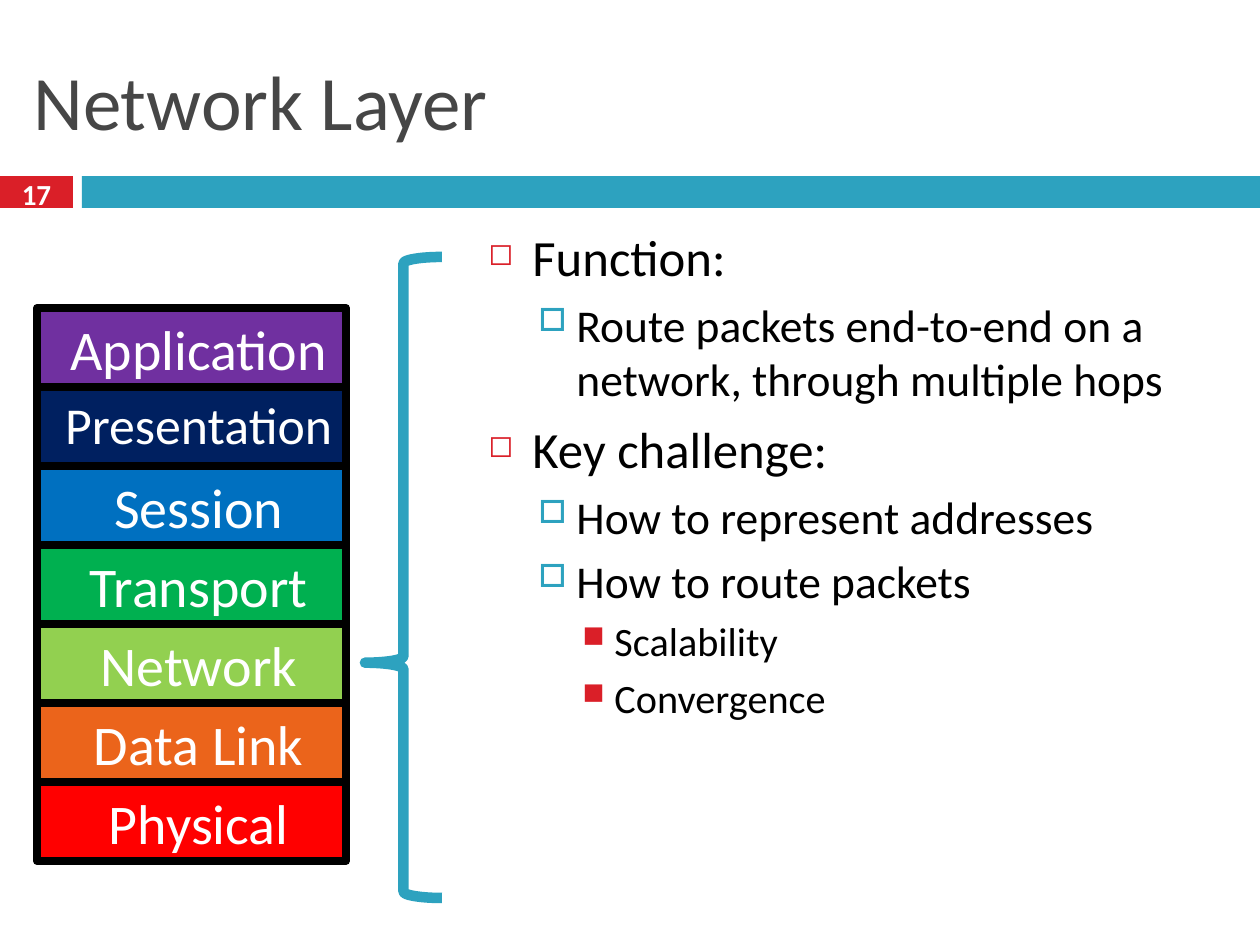
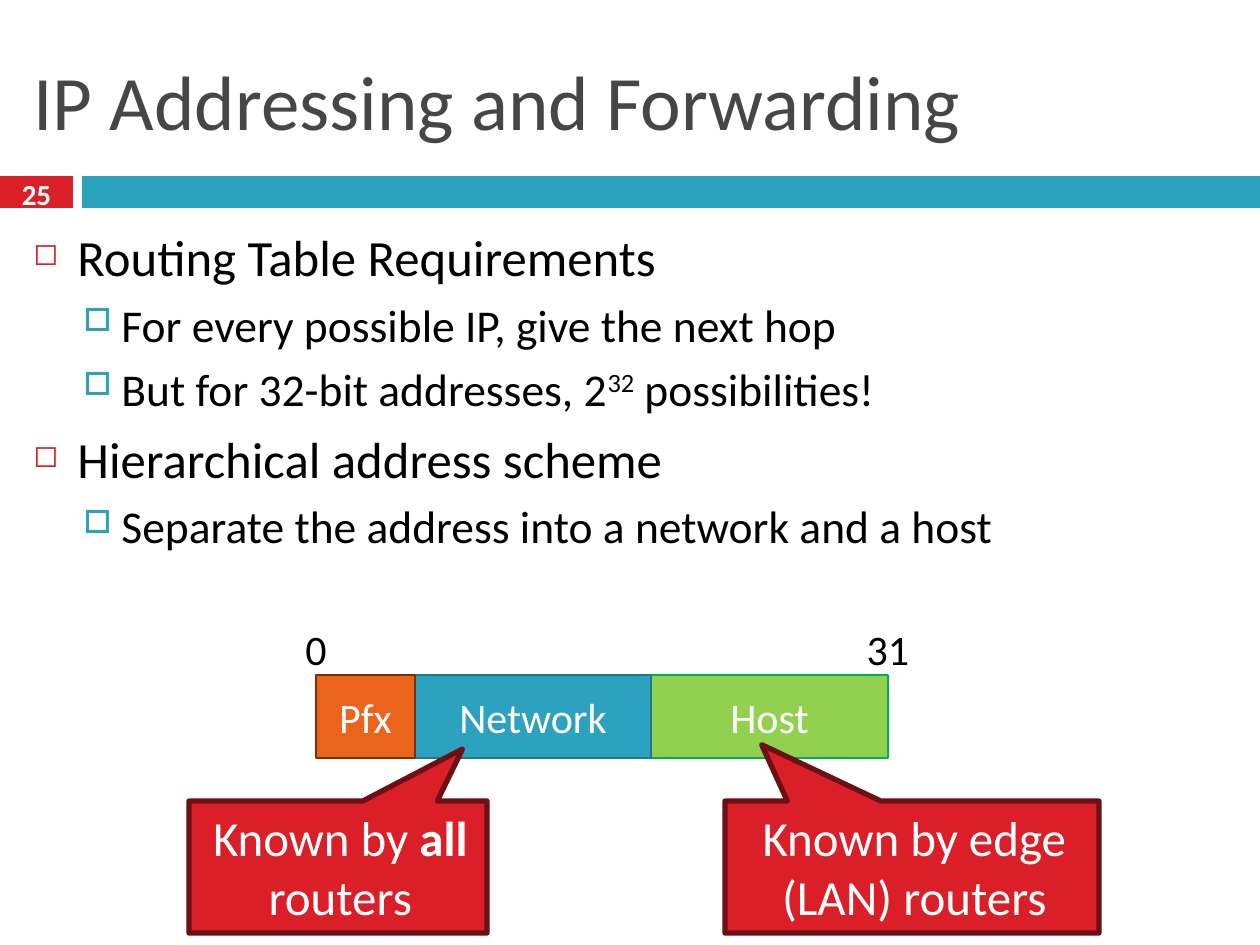
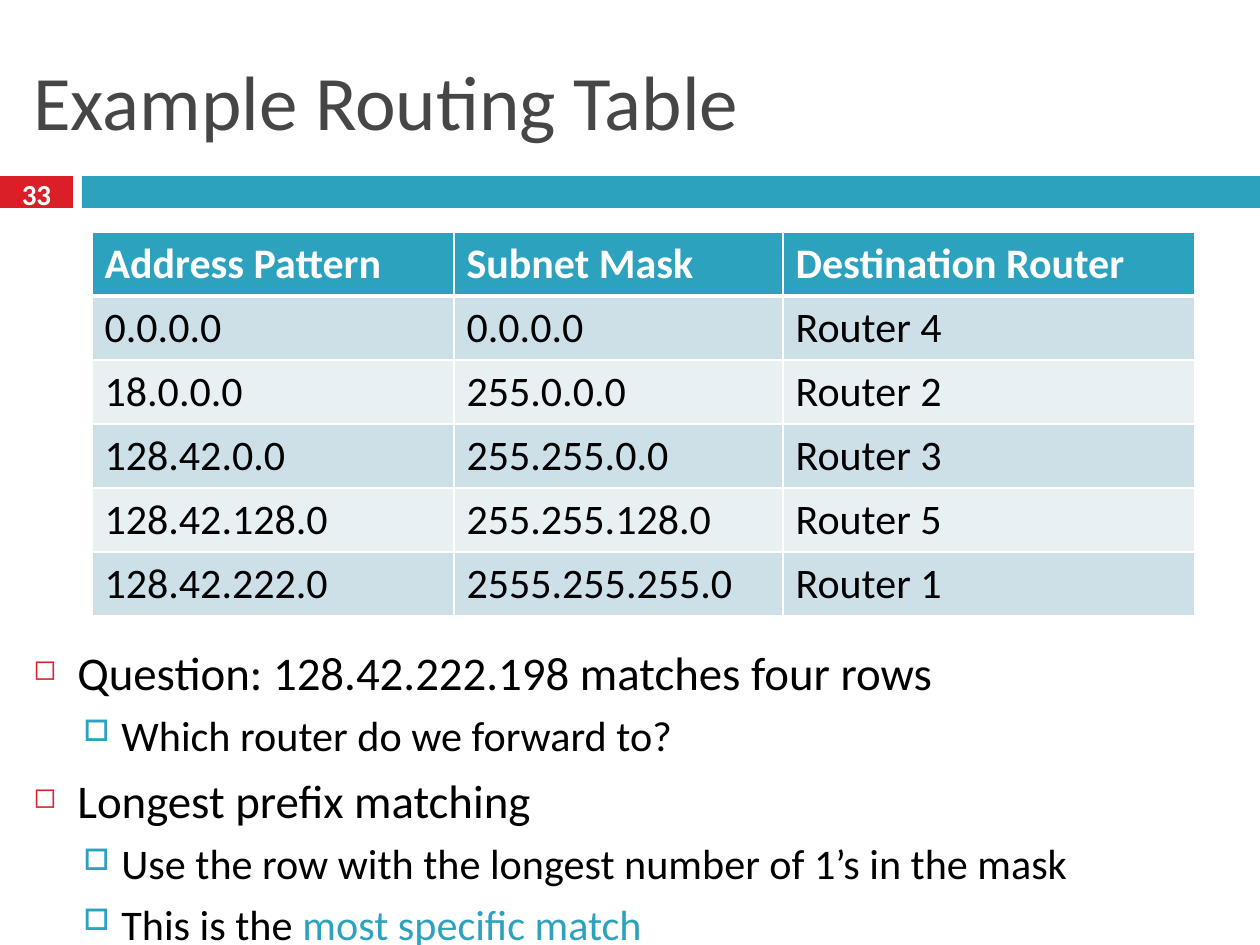
"""Build three slides on the network layer, IP addressing and routing tables."""
import pptx
import pptx.dml.color
import pptx.enum.shapes
import pptx.enum.text
import pptx.oxml.ns
import pptx.util
from lxml import etree

RGB = pptx.dml.color.RGBColor
SHAPE = pptx.enum.shapes.MSO_SHAPE
ALIGN = pptx.enum.text.PP_ALIGN
ANCHOR = pptx.enum.text.MSO_ANCHOR
Pt = pptx.util.Pt
qn = pptx.oxml.ns.qn

FONT = "Calibri"
WHITE = RGB(0xFF, 0xFF, 0xFF)
BLACK = RGB(0x00, 0x00, 0x00)
GRAY = RGB(0x46, 0x46, 0x46)
RED = RGB(0xDA, 0x1F, 0x28)
DARK_RED = RGB(0x6D, 0x10, 0x14)
TEAL = RGB(0x2D, 0xA2, 0xBF)
DARK_TEAL = RGB(0x21, 0x78, 0x8D)
ORANGE = RGB(0xEB, 0x64, 0x1B)
BROWN = RGB(0x78, 0x31, 0x0B)
LIME = RGB(0x92, 0xD0, 0x50)
GREEN = RGB(0x00, 0xB0, 0x50)
PURPLE = RGB(0x70, 0x30, 0xA0)
NAVY = RGB(0x00, 0x20, 0x60)
BLUE = RGB(0x00, 0x70, 0xC0)
BRIGHT_RED = RGB(0xFF, 0x00, 0x00)
ROW_DARK = RGB(0xCD, 0xE0, 0xE8)
ROW_LIGHT = RGB(0xE8, 0xF0, 0xF4)

# Per outline level: left margin and hanging indent (px), space before (pt),
# bullet character, colour and size (percent).
LEVELS = [
    (44, 44, 7, "\u25fb", RED, 60),
    (88, 38, 5.5, "\u25a1", TEAL, 70),
    (126, 32, 5, "\u25a0", RED, 75),
]


def px(n):
    """Turn pixels (126 to the inch) into EMU."""
    return pptx.util.Emu(round(n * 914400 / 126))


def sub(parent, tag, **attrs):
    """Append a DrawingML child element and return it."""
    return etree.SubElement(parent, qn("a:" + tag), attrs)


class Deck:
    """The shared style and the slide being filled."""

    def __init__(self):
        """Start an empty 10 by 7.5 inch presentation."""
        self.prs = pptx.Presentation()
        self.prs.slide_width, self.prs.slide_height = px(1260), px(945)
        self.s = None

    def slide(self, title, number):
        """Add a slide with its bands, title and page number."""
        self.s = self.prs.slides.add_slide(self.prs.slide_layouts[6])
        self.shape(SHAPE.RECTANGLE, (0, 176, 73, 32), RED)
        self.shape(SHAPE.RECTANGLE, (82, 176, 1178, 32), TEAL)
        self.text((21, 32, 1218, 136), title, 44, GRAY, align=ALIGN.LEFT)
        self.text((0, 173, 73, 42), str(number), 16.6, WHITE, bold=True)

    def paragraph(self, p, content, size, color, bold=None, align=None):
        """Fill a paragraph from a string or a list of (text, look) runs."""
        p.alignment = align
        p.font.name, p.font.size, p.font.bold = FONT, Pt(size), bold
        p.font.color.rgb = color
        runs = [(content, {})] if isinstance(content, str) else content
        for words, look in runs:
            r = p.add_run()
            r.text = words
            if "bold" in look:
                r.font.bold = look["bold"]
            if "color" in look:
                r.font.color.rgb = look["color"]
            if "raised" in look:
                r.font._element.set("baseline", str(look["raised"] * 1000))

    def frame(self, sp, anchor, left=None):
        """Prepare a shape's text frame and return it."""
        tf = sp.text_frame
        tf.word_wrap = True
        tf.vertical_anchor = anchor
        if left is not None:
            tf.margin_left = px(left)
        return tf

    def text(self, box, content, size, color, bold=None, align=ALIGN.CENTER):
        """Add a vertically centred text box."""
        sp = self.s.shapes.add_textbox(*map(px, box))
        tf = self.frame(sp, ANCHOR.MIDDLE)
        self.paragraph(tf.paragraphs[0], content, size, color, bold, align)

    def shape(self, kind, box, fill=None, line=None, weight=1, adjust=()):
        """Add a preset shape without shadow and return it."""
        sp = self.s.shapes.add_shape(kind, *map(px, box))
        sp.shadow.inherit = False
        for i, value in enumerate(adjust):
            sp.adjustments[i] = value
        if fill is None:
            sp.fill.background()
        else:
            sp.fill.solid()
            sp.fill.fore_color.rgb = fill
        if line is None:
            sp.line.fill.background()
        else:
            sp.line.color.rgb = line
            sp.line.width = Pt(weight)
        return sp

    def label(self, sp, content, size, anchor=ANCHOR.MIDDLE, left=None):
        """Put centred white text inside a shape."""
        tf = self.frame(sp, anchor, left)
        self.paragraph(tf.paragraphs[0], content, size, WHITE,
                       align=ALIGN.CENTER)

    def bullets(self, box, items, sizes):
        """Add an outline of (level, content) items."""
        tf = self.frame(self.s.shapes.add_textbox(*map(px, box)), ANCHOR.TOP)
        for i, (level, content) in enumerate(items):
            p = tf.add_paragraph() if i else tf.paragraphs[0]
            margin, hang, before, char, color, percent = LEVELS[level]
            p.level = level
            p.space_before = Pt(before)
            pPr = p._p.get_or_add_pPr()
            pPr.set("marL", str(px(margin)))
            pPr.set("indent", str(-px(hang)))
            sub(sub(pPr, "buClr"), "srgbClr", val=str(color))
            sub(pPr, "buSzPct", val=str(percent * 1000))
            sub(pPr, "buChar", char=char)
            self.paragraph(p, content, sizes[level], BLACK)

    def borders(self, cell, weights):
        """Give a cell white borders; weights maps sides to points."""
        tcPr = cell._tc.get_or_add_tcPr()
        for side in "LRTB":
            ln = sub(tcPr, "ln" + side, w=str(Pt(weights.get(side, 1))))
            sub(sub(ln, "solidFill"), "srgbClr", val=str(WHITE))

    def table(self, left, top, widths, row_height, rows):
        """Add a table with a header row and alternating row fills."""
        table = self.s.shapes.add_table(
            len(rows), len(widths), px(left), px(top),
            px(sum(widths)), px(row_height * len(rows))).table
        for column, width in zip(table.columns, widths):
            column.width = px(width)
        for i, row in enumerate(rows):
            table.rows[i].height = px(row_height)
            header = i == 0
            fill = TEAL if header else ROW_DARK if i % 2 else ROW_LIGHT
            for j, words in enumerate(row):
                cell = table.cell(i, j)
                self.borders(cell, {0: {"B": 3}, 1: {"T": 3}}.get(i, {}))
                cell.fill.solid()
                cell.fill.fore_color.rgb = fill
                self.paragraph(cell.text_frame.paragraphs[0], words, 24,
                               WHITE if header else BLACK, bold=header)


def network_layer(deck):
    """Layer stack with a brace pointing at the network layer."""
    deck.slide("Network Layer", 17)
    deck.bullets((476, 220, 764, 703), [
        (0, "Function:"),
        (1, "Route packets end-to-end on a network, through multiple hops"),
        (0, "Key challenge:"),
        (1, "How to represent addresses"),
        (1, "How to route packets"),
        (2, "Scalability"),
        (2, "Convergence"),
    ], (29, 26, 23))
    layers = [
        ("Application", PURPLE, 32), ("Presentation", NAVY, 29.6),
        ("Session", BLUE, 32), ("Transport", GREEN, 32),
        ("Network", LIME, 32), ("Data Link", ORANGE, 32),
        ("Physical", BRIGHT_RED, 32),
    ]
    for i, (name, color, size) in enumerate(layers):
        sp = deck.shape(SHAPE.RECTANGLE, (37, 308 + 79 * i, 309, 79),
                        color, BLACK, 4.5)
        deck.label(sp, name, size, ANCHOR.TOP, left=27)
    deck.shape(SHAPE.LEFT_BRACE, (365, 257, 77, 641), line=TEAL, weight=6,
               adjust=(0.083, 0.633))


def ip_addressing(deck):
    """Address fields from bit 0 to bit 31, with two callouts."""
    deck.slide("IP Addressing and Forwarding", 25)
    deck.bullets((21, 220, 1218, 418), [
        (0, "Routing Table Requirements"),
        (1, "For every possible IP, give the next hop"),
        (1, [("But for 32-bit addresses, 2", {}), ("32", {"raised": 30}),
             (" possibilities!", {})]),
        (0, "Hierarchical address scheme"),
        (1, "Separate the address into a network and a host"),
    ], (29, 26))
    fields = [
        ("Host", 651, 237, LIME, GREEN),
        ("Network", 415, 236, TEAL, DARK_TEAL),
        ("Pfx", 316, 99, ORANGE, BROWN),
    ]
    for name, left, width, fill, line in fields:
        sp = deck.shape(SHAPE.RECTANGLE, (left, 675, width, 83),
                        fill, line, 1.5)
        deck.label(sp, name, 24)
    for bit, center in (("0", 316), ("31", 888)):
        deck.text((center - 41, 607, 82, 83), bit, 24, BLACK)
    callouts = [
        (189, 298, (0.418, -0.894),
         [("Known by ", {}), ("all", {"bold": True}), (" routers", {})]),
        (725, 374, (-0.402, -0.927), "Known by edge (LAN) routers"),
    ]
    for left, width, tip, content in callouts:
        sp = deck.shape(SHAPE.RECTANGULAR_CALLOUT, (left, 801, width, 132),
                        RED, DARK_RED, 3, tip)
        deck.label(sp, content, 28, ANCHOR.TOP, left=17)


def routing_table(deck):
    """Routing table and the longest prefix rule."""
    deck.slide("Example Routing Table", 33)
    deck.table(92, 232, (362, 329, 412), 64, [
        ("Address Pattern", "Subnet Mask", "Destination Router"),
        ("0.0.0.0", "0.0.0.0", "Router 4"),
        ("18.0.0.0", "255.0.0.0", "Router 2"),
        ("128.42.0.0", "255.255.0.0", "Router 3"),
        ("128.42.128.0", "255.255.128.0", "Router 5"),
        ("128.42.222.0", "2555.255.255.0", "Router 1"),
    ])
    deck.bullets((21, 637, 1239, 308), [
        (0, "Question: 128.42.222.198 matches four rows"),
        (1, "Which router do we forward to?"),
        (0, "Longest prefix matching"),
        (1, "Use the row with the longest number of 1\u2019s in the mask"),
        (1, [("This is the ", {}), ("most specific match", {"color": TEAL})]),
    ], (26.8, 24.1))


deck = Deck()
network_layer(deck)
ip_addressing(deck)
routing_table(deck)
deck.prs.save("out.pptx")
